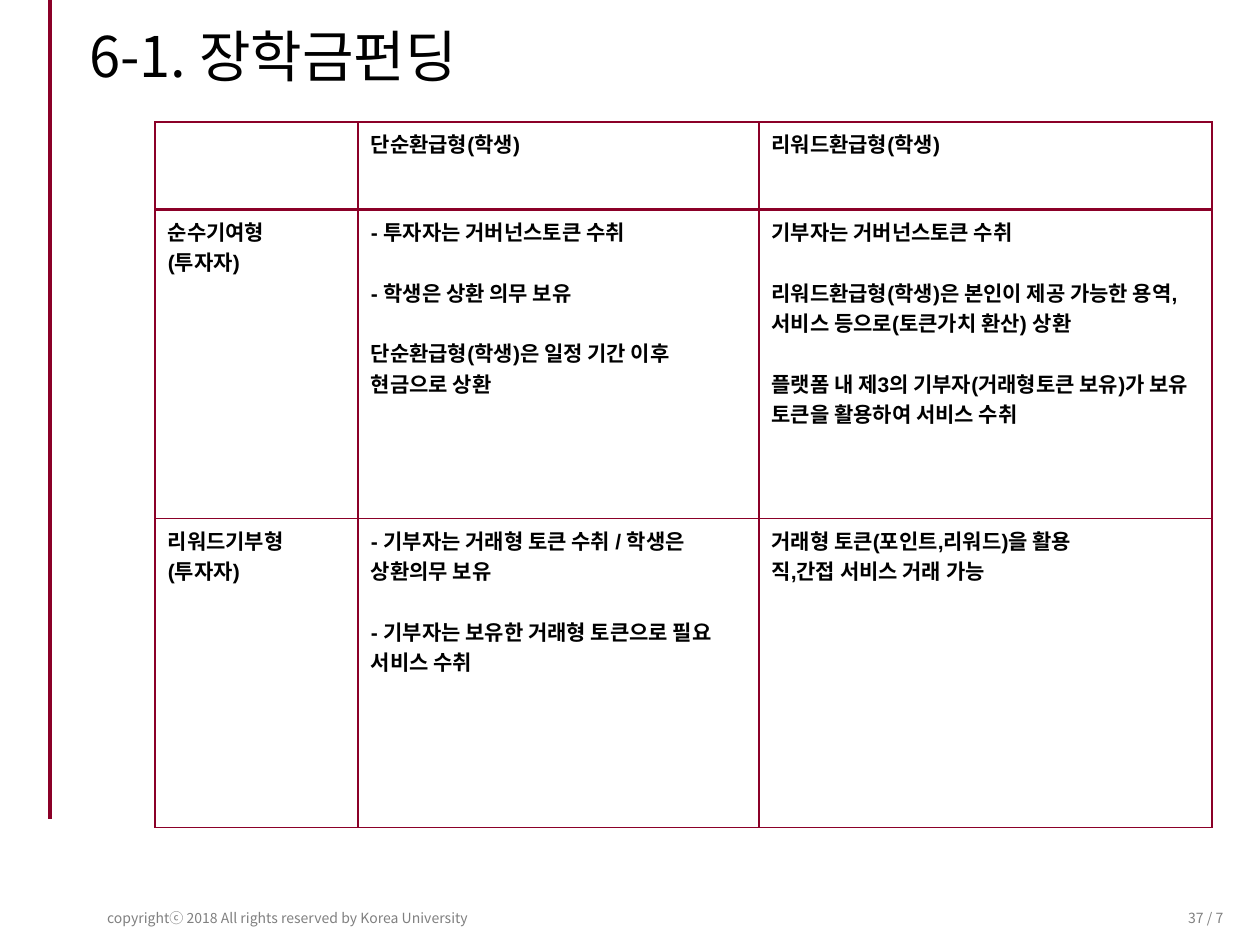
import pptx
import pptx.dml.color
import pptx.enum.shapes
import pptx.enum.text
import pptx.oxml
import pptx.oxml.ns
import pptx.util

Pt = pptx.util.Pt
Align = pptx.enum.text.PP_ALIGN
Anchor = pptx.enum.text.MSO_ANCHOR

COLORS = {"crimson": "8B0028", "text": "000000", "footer": "808080", "cell": "FFFFFF"}
KOREAN_FONT = "Noto Sans CJK KR"
TABLE_FONT = "Arial"
BLANK_LINE = 17.4

COLUMN_WIDTHS = [116, 229, 259]
ROW_HEIGHTS = [50, 176.5, 176.5]
FUNDING_TYPES = [
    [[], ["단순환급형(학생)"], ["리워드환급형(학생)"]],
    [
        ["순수기여형", "(투자자)"],
        [
            "- 투자자는 거버넌스토큰 수취",
            "- 학생은 상환 의무 보유",
            "단순환급형(학생)은 일정 기간 이후 현금으로 상환",
        ],
        [
            "기부자는 거버넌스토큰 수취",
            "리워드환급형(학생)은 본인이 제공 가능한 용역, 서비스 등으로(토큰가치 환산) 상환",
            "플랫폼 내 제3의 기부자(거래형토큰 보유)가 보유 토큰을 활용하여 서비스 수취",
        ],
    ],
    [
        ["리워드기부형", "(투자자)"],
        [
            "- 기부자는 거래형 토큰 수취 / 학생은 상환의무 보유",
            "- 기부자는 보유한 거래형 토큰으로 필요 서비스 수취",
        ],
        ["거래형 토큰(포인트,리워드)을 활용", "직,간접 서비스 거래 가능"],
    ],
]
SPACED_CELLS = {(1, 1), (1, 2), (2, 1)}


def rgb(name):
    return pptx.dml.color.RGBColor.from_string(COLORS[name])


def make_element(xml):
    namespace = pptx.oxml.ns.nsdecls("a")
    return pptx.oxml.parse_xml(xml.replace(" ", f" {namespace} ", 1))


def add_run(paragraph, text, size, color, font=KOREAN_FONT, bold=False):
    run = paragraph.add_run()
    run.text = text
    run.font.name = font
    run.font.size = Pt(size)
    run.font.bold = bold
    run.font.color.rgb = rgb(color)
    latin = run.font._element.find(pptx.oxml.ns.qn("a:latin"))
    latin.addnext(make_element(f'<a:ea typeface="{KOREAN_FONT}"/>'))


def add_text(slide, box, text, size, color, alignment, anchor, line_spacing=1.0):
    shape = slide.shapes.add_textbox(*(Pt(value) for value in box))
    frame = shape.text_frame
    frame.word_wrap = True
    frame.vertical_anchor = anchor
    paragraph = frame.paragraphs[0]
    paragraph.alignment = alignment
    paragraph.line_spacing = line_spacing
    add_run(paragraph, text, size, color)
    return shape


def add_side_line(slide):
    line = slide.shapes.add_connector(
        pptx.enum.shapes.MSO_CONNECTOR.STRAIGHT, Pt(28.8), Pt(0), Pt(28.8), Pt(468)
    )
    line.line.color.rgb = rgb("crimson")
    line.line.width = Pt(2.25)
    line._element.spPr.append(make_element("<a:effectLst />"))


def set_borders(cell, row):
    widths = {"L": 1, "R": 1, "T": 2 if row == 1 else 1, "B": 2 if row == 0 else 1}
    properties = cell._tc.get_or_add_tcPr()
    for side, width in widths.items():
        properties.append(make_element(
            f'<a:ln{side} w="{Pt(width)}"><a:solidFill>'
            f'<a:srgbClr val="{COLORS["crimson"]}"/></a:solidFill></a:ln{side}>'
        ))


def fill_cell(cell, row, column, lines):
    set_borders(cell, row)
    cell.fill.solid()
    cell.fill.fore_color.rgb = rgb("cell")
    frame = cell.text_frame
    for index, text in enumerate(lines):
        paragraph = frame.add_paragraph() if index else frame.paragraphs[0]
        if index and (row, column) in SPACED_CELLS:
            paragraph.space_before = Pt(BLANK_LINE)
        add_run(paragraph, text, 12, "text", TABLE_FONT, bold=True)


def add_funding_table(slide):
    shape = slide.shapes.add_table(
        len(ROW_HEIGHTS), len(COLUMN_WIDTHS), Pt(88.7), Pt(69.8),
        Pt(sum(COLUMN_WIDTHS)), Pt(sum(ROW_HEIGHTS)),
    )
    table = shape.table
    table.first_row = False
    table.horz_banding = False
    for column, width in zip(table.columns, COLUMN_WIDTHS):
        column.width = Pt(width)
    for row, height in zip(table.rows, ROW_HEIGHTS):
        row.height = Pt(height)
    for row, cells in enumerate(FUNDING_TYPES):
        for column, lines in enumerate(cells):
            fill_cell(table.cell(row, column), row, column, lines)


def main():
    presentation = pptx.Presentation()
    presentation.slide_width = Pt(720)
    presentation.slide_height = Pt(540)
    slide = presentation.slides.add_slide(presentation.slide_layouts[6])

    page_number = add_text(slide, (656.6, 517.7, 47.5, 13.7), "37 / 7", 8, "footer",
                           Align.RIGHT, Anchor.MIDDLE)
    page_number.text_frame.margin_left = page_number.text_frame.margin_right = Pt(5)
    page_number.text_frame.margin_top = page_number.text_frame.margin_bottom = Pt(2.9)
    add_text(slide, (42.5, 516.2, 244, 17.3),
             "copyrightⓒ 2018 All rights reserved by Korea University", 8, "footer",
             Align.CENTER, Anchor.TOP)
    add_side_line(slide)
    add_text(slide, (43.9, 13.7, 521.3, 40.3), "6-1. 장학금펀딩", 32, "text",
             Align.LEFT, Anchor.MIDDLE, 0.9)
    add_funding_table(slide)

    presentation.save("out.pptx")


if __name__ == "__main__":
    main()
